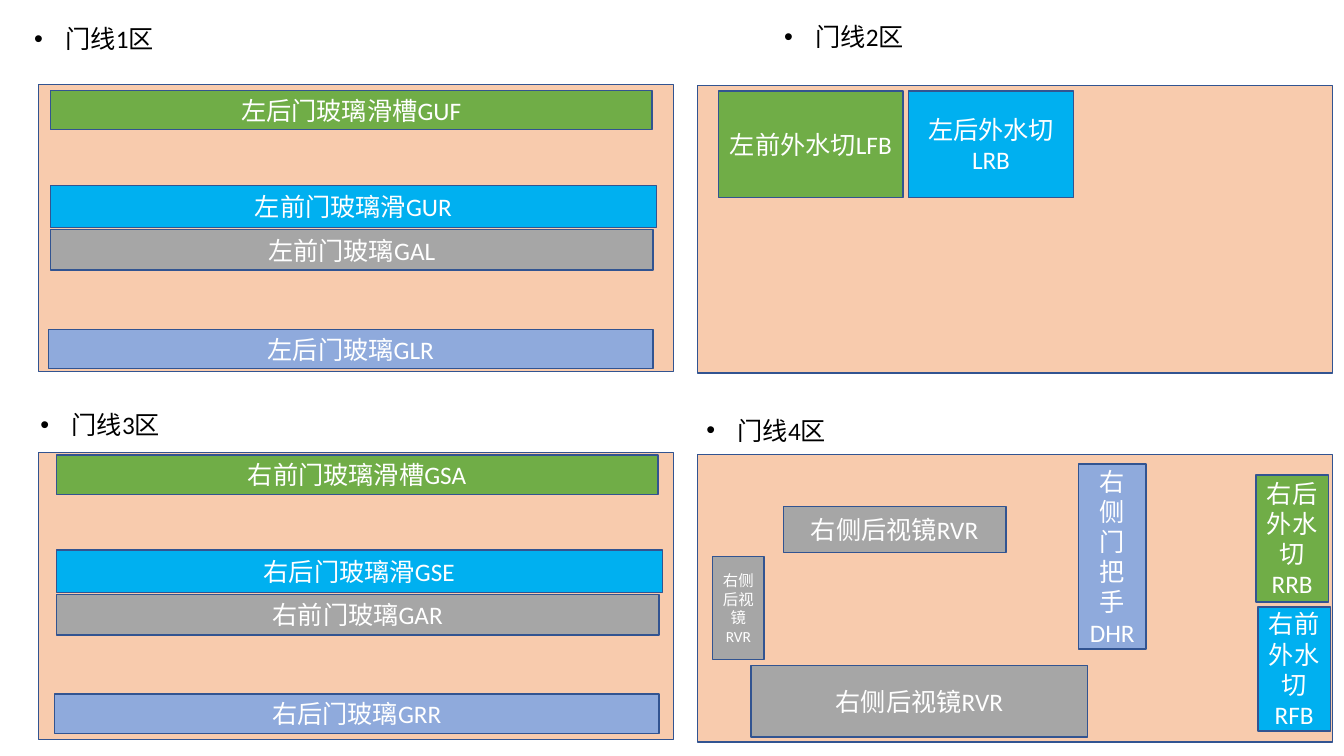
from lxml import etree
from pptx import Presentation
from pptx import util as u
from pptx.dml import color
from pptx.enum import shapes, text
from pptx.oxml import ns

COLORS = {
    "zone": "F8CBAD", "outline": "325491", "title": "000000", "label": "FFFFFF",
    "green": "70AD47", "cyan": "00B0F0", "gray": "A6A6A6", "periwinkle": "8FAADC",
}
FONT = "Calibri"
ZONE_SIZE = (16, 7.24)
TITLE_SIZE = (13.49, 1.3)
BULLET_INDENT = 0.79


def rgb(name):
    return color.RGBColor.from_string(COLORS[name])


def add_run(paragraph, words, size, color_name):
    run = paragraph.add_run()
    run.text = words
    run.font.name = FONT
    run.font.size = u.Pt(size)
    run.font.color.rgb = rgb(color_name)


def add_box(slide, left, top, width, height, fill):
    shape = slide.shapes.add_shape(
        shapes.MSO_SHAPE.RECTANGLE, u.Cm(left), u.Cm(top), u.Cm(width), u.Cm(height))
    shape.shadow.inherit = False
    shape.fill.solid()
    shape.fill.fore_color.rgb = rgb(fill)
    shape.line.color.rgb = rgb("outline")
    shape.line.width = u.Pt(1)
    return shape


def add_title(slide, left, top, words):
    box = slide.shapes.add_textbox(
        u.Cm(left), u.Cm(top), *(u.Cm(length) for length in TITLE_SIZE))
    frame = box.text_frame
    frame.word_wrap = True
    frame.vertical_anchor = text.MSO_ANCHOR.MIDDLE
    paragraph = frame.paragraphs[0]
    properties = paragraph._p.get_or_add_pPr()
    properties.set("marL", str(u.Cm(BULLET_INDENT)))
    properties.set("indent", str(-u.Cm(BULLET_INDENT)))
    etree.SubElement(properties, ns.qn("a:buFont")).set("typeface", "Arial")
    etree.SubElement(properties, ns.qn("a:buChar")).set("char", "•")
    add_run(paragraph, words, 18, "title")


def add_part(slide, zone, offset, size, fill, label, font_size=18):
    """Place a labelled part at an offset from the zone's top left corner."""
    shape = add_box(slide, zone[0] + offset[0], zone[1] + offset[1], *size, fill)
    frame = shape.text_frame
    frame.word_wrap = True
    frame.vertical_anchor = text.MSO_ANCHOR.MIDDLE
    paragraph = frame.paragraphs[0]
    paragraph.alignment = text.PP_ALIGN.CENTER
    add_run(paragraph, label, font_size, "label")


def add_zone(slide, zone, title, title_offset):
    add_title(slide, zone[0] + title_offset[0], zone[1] + title_offset[1], title)
    add_box(slide, *zone, *ZONE_SIZE, "zone")


def add_glass_parts(slide, zone, shift, labels):
    """Stack the four long glass parts, moved together by the shift."""
    strips = [
        (0.3, 0.15, 15.16, 0.99, "green"),
        (0.25, 6.17, 15.24, 0.99, "periwinkle"),
        (0.3, 3.66, 15.19, 1.02, "gray"),
        (0.3, 2.54, 15.27, 1.07, "cyan"),
    ]
    for (left, top, width, height, fill), label in zip(strips, labels):
        add_part(slide, zone, (left + shift[0], top + shift[1]), (width, height), fill, label)


def add_left_trim_parts(slide, zone):
    add_part(slide, zone, (0.53, 0.13), (4.65, 2.69), "green", "左前外水切LFB")
    add_part(slide, zone, (5.31, 0.13), (4.17, 2.69), "cyan", "左后外水切LRB")


def add_right_side_parts(slide, zone):
    mirror = "右侧后视镜RVR"
    add_part(slide, zone, (14.07, 0.51), (1.83, 3.2), "green", "右后外水切RRB")
    add_part(slide, zone, (14.12, 3.84), (1.83, 3.12), "cyan", "右前外水切RFB")
    add_part(slide, zone, (1.35, 5.31), (8.48, 1.8), "gray", mirror)
    add_part(slide, zone, (9.6, 0.23), (1.7, 4.67), "periwinkle", "右侧门把手DHR")
    add_part(slide, zone, (0.38, 2.57), (1.3, 2.59), "gray", mirror, 11)
    add_part(slide, zone, (2.16, 1.3), (5.61, 1.17), "gray", mirror)


def main():
    presentation = Presentation()
    presentation.slide_width = u.Cm(33.87)
    presentation.slide_height = u.Cm(19.05)
    slide = presentation.slides.add_slide(presentation.slide_layouts[6])

    left, right = 0.97, 17.58
    zone_1, zone_2 = (left, 2.13), (right, 2.16)
    zone_3, zone_4 = (left, 11.4), (right, 11.46)

    add_zone(slide, zone_1, "门线1区", (-0.36, -1.8))
    add_glass_parts(slide, zone_1, (0, 0), [
        "左后门玻璃滑槽GUF", "左后门玻璃GLR", "左前门玻璃GAL", "左前门玻璃滑GUR"])
    add_zone(slide, zone_2, "门线2区", (1.93, -1.88))
    add_left_trim_parts(slide, zone_2)
    add_zone(slide, zone_3, "门线3区", (-0.2, -1.35))
    add_glass_parts(slide, zone_3, (0.15, -0.08), [
        "右前门玻璃滑槽GSA", "右后门玻璃GRR", "右前门玻璃GAR", "右后门玻璃滑GSE"])
    add_zone(slide, zone_4, "门线4区", (-0.03, -1.27))
    add_right_side_parts(slide, zone_4)

    presentation.save("out.pptx")


if __name__ == "__main__":
    main()
